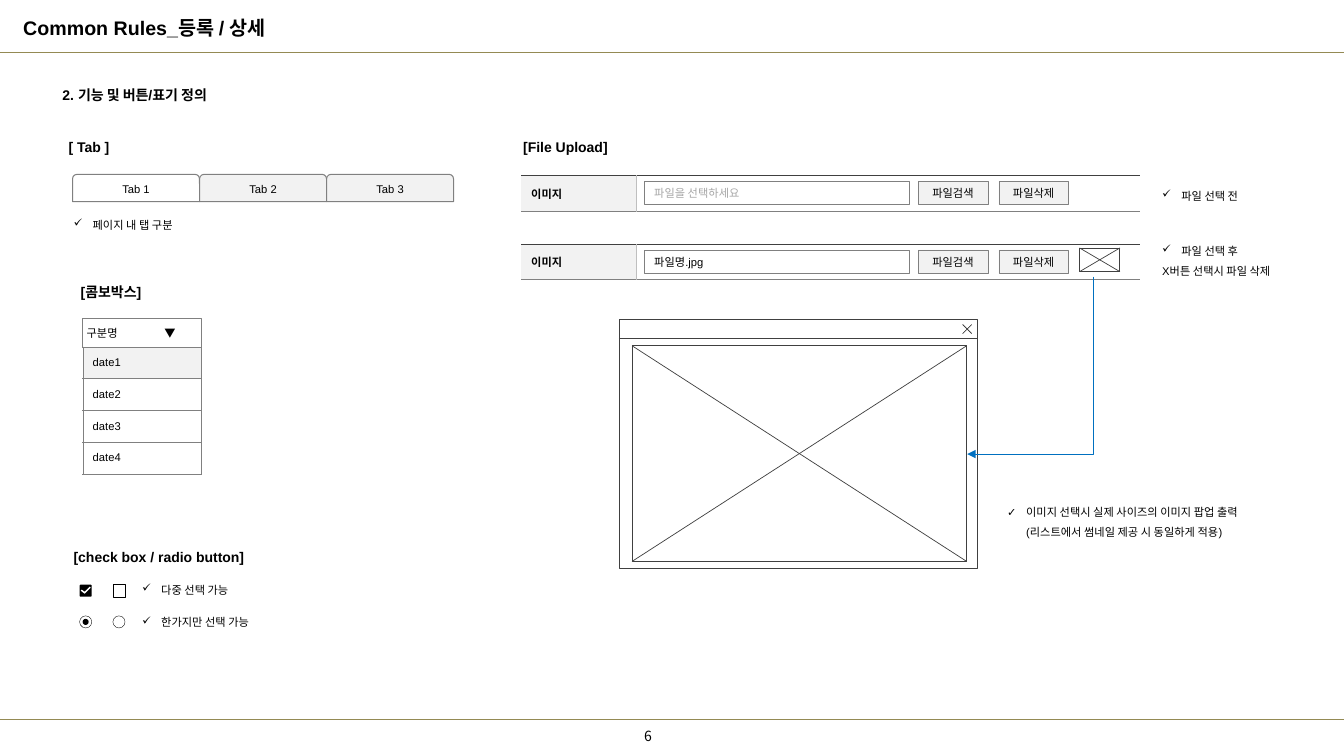
from dataclasses import dataclass
from lxml import etree
from pptx import Presentation
from pptx import util as u
from pptx.dml.color import RGBColor
from pptx.enum import shapes, text
from pptx.oxml import ns


@dataclass(frozen=True)
class Theme:
    latin: str = "Arial"
    korean: str = "Noto Sans CJK KR"
    title: int = 14
    heading: int = 10
    label: int = 8
    ink: str = "000000"
    hint: str = "A6A6A6"
    paper: str = "FFFFFF"
    shade: str = "F2F2F2"
    border: str = "808080"
    divider: str = "BFBFBF"
    frame: str = "404040"
    rule: str = "948A54"
    arrow: str = "0070C0"


theme = Theme()
COLUMNS, ROWS = 133.33, 75
deck = Presentation()
deck.slide_width, deck.slide_height = u.Inches(13.33), u.Inches(7.5)
column, row = deck.slide_width / COLUMNS, deck.slide_height / ROWS
page = deck.slides.add_slide(deck.slide_layouts[1])
Kind = shapes.MSO_SHAPE
Align = text.PP_ALIGN
Anchor = text.MSO_ANCHOR


def write(para, words, size=theme.label, bold=False, color=theme.ink, latin=theme.latin):
    span = para.add_run()
    span.text = words
    span.font.size, span.font.bold, span.font.name = u.Pt(size), bold, latin
    span.font.color.rgb = RGBColor.from_string(color)
    east = etree.SubElement(span.font._element, ns.qn("a:ea"))
    east.set("typeface", theme.korean)


def draw(kind, left, top, width, height, fill=None, line=theme.border, weight=0.25,
         words="", align=Align.CENTER, inset=0, color=theme.ink):
    box = page.shapes.add_shape(kind, round(left * column), round(top * row),
                                round(width * column), round(height * row))
    box.shadow.inherit = False
    if fill:
        box.fill.solid()
        box.fill.fore_color.rgb = RGBColor.from_string(fill)
    else:
        box.fill.background()
    if line:
        box.line.color.rgb = RGBColor.from_string(line)
        box.line.width = u.Pt(weight)
    else:
        box.line.fill.background()
    if words:
        frame = box.text_frame
        frame.vertical_anchor = Anchor.MIDDLE
        frame.margin_left = frame.margin_right = round(inset * column)
        frame.margin_top = frame.margin_bottom = 0
        frame.paragraphs[0].alignment = align
        write(frame.paragraphs[0], words, color=color)
    return box


title = page.shapes.title
title.left, title.top = round(1.3 * column), round(0.1 * row)
title.width, title.height = round(130.7 * column), round(5.2 * row)
title.text_frame.vertical_anchor = Anchor.MIDDLE
title.text_frame.paragraphs[0].alignment = Align.LEFT
write(title.text_frame.paragraphs[0], "Common Rules_등록 / 상세", theme.title, True)

headings = [
    (6.2, 8.1, "2. 기능 및 버튼/표기 정의", True, theme.latin),
    (6.8, 13.3, "[ Tab ]", True, theme.latin),
    (8, 27.6, "[콤보박스]", True, theme.latin),
    (7.3, 53.9, "[check box / radio button]", True, theme.latin),
    (51.9, 13.3, "[File Upload]", True, theme.latin),
    (63.9, 71.7, "6", False, theme.korean),
]
for left, top, words, bold, latin in headings:
    box = page.shapes.add_textbox(round(left * column), round(top * row),
                                  round(24 * column), round(2.7 * row))
    box.text_frame.word_wrap = True
    box.text_frame.margin_left = box.text_frame.margin_right = 0
    write(box.text_frame.paragraphs[0], words, theme.heading, bold, latin=latin)

notes = [
    (7.3, 21.2, 12.6, 2.4, 1, ["✓페이지 내 탭 구분"]),
    (14.1, 57.4, 13.8, 2.4, 1, ["✓다중 선택 가능"]),
    (14.1, 60.6, 13.8, 2.4, 1, ["✓한가지만 선택 가능"]),
    (115.3, 17.6, 16.9, 3.5, 1.5, ["✓파일 선택 전"]),
    (115.3, 23.1, 16.9, 5.2, 1.5, ["✓파일 선택 후", "X버튼 선택시 파일 삭제"]),
    (99.9, 49, 25.8, 5.7, 1.5,
     ["✓이미지 선택시 실제 사이즈의 이미지 팝업 출력 (리스트에서 썸네일 제공 시 동일하게 적용)"]),
]
for left, top, width, height, spacing, lines in notes:
    if lines is notes[-1][-1]:
        box = page.placeholders[1]
    else:
        box = page.shapes.add_textbox(0, 0, 0, 0)
    box.left, box.top = round(left * column), round(top * row)
    box.width, box.height = round(width * column), round(height * row)
    frame = box.text_frame
    frame.word_wrap, frame.auto_size = True, text.MSO_AUTO_SIZE.NONE
    frame.margin_left = frame.margin_right = 0
    for number, words in enumerate(lines):
        para = frame.add_paragraph() if number else frame.paragraphs[0]
        para.line_spacing, para.space_before = spacing, u.Pt(0)
        if words.startswith("✓"):
            settings = para._p.get_or_add_pPr()
            settings.set("marL", str(round(1.9 * column)))
            settings.set("indent", str(round(-1.9 * column)))
            etree.SubElement(settings, ns.qn("a:buChar")).set("char", "✓")
        write(para, words.removeprefix("✓"))

for number in range(3):
    draw(Kind.ROUND_2_SAME_RECTANGLE, 7.2 + 12.6 * number, 17.3, 12.6, 2.7,
         theme.shade if number else theme.paper, weight=0.75, words=f"Tab {number + 1}")

combo = draw(Kind.RECTANGLE, 8.2, 31.6, 11.8, 2.8, words="구분명\t▼", align=Align.LEFT, inset=0.4)
stops = etree.SubElement(combo.text_frame.paragraphs[0]._p.get_or_add_pPr(), ns.qn("a:tabLst"))
stop = etree.SubElement(stops, ns.qn("a:tab"))
stop.set("pos", str(round(7.7 * column)))
stop.set("algn", "l")

edge = (theme.border, 0.25)
top_edge, low_edge, split = (theme.frame, 0.5), (theme.border, 0.75), (theme.divider, 0.25)
option_edges = dict(L=edge, R=edge, T=edge, B=edge)
upload_cells = [
    ("이미지", theme.shade, dict(L=None, R=split, T=top_edge, B=low_edge)),
    ("", None, dict(L=split, R=None, T=top_edge, B=low_edge)),
]
options = [[(f"date{n}", theme.paper if n > 1 else theme.shade, option_edges)] for n in range(1, 5)]
tables = [
    (8.2, 34.4, [11.8], 3.15, options),
    (51.7, 17.4, [11.4, 50], 3.55, [upload_cells]),
    (51.7, 24.2, [11.4, 50], 3.55, [upload_cells]),
]
for left, top, widths, height, grid in tables:
    table = page.shapes.add_table(len(grid), len(widths), round(left * column), round(top * row),
                                  round(sum(widths) * column), round(height * len(grid) * row)).table
    table.first_row = table.horz_banding = False
    for number, width in enumerate(widths):
        table.columns[number].width = round(width * column)
    for y, cells in enumerate(grid):
        table.rows[y].height = round(height * row)
        for x, (words, fill, edges) in enumerate(cells):
            cell = table.cell(y, x)
            cell.vertical_anchor = Anchor.MIDDLE
            for side, stroke in edges.items():
                line = etree.SubElement(cell._tc.get_or_add_tcPr(), ns.qn(f"a:ln{side}"))
                if stroke:
                    line.set("w", str(u.Pt(stroke[1])))
                    paint = etree.SubElement(line, ns.qn("a:solidFill"))
                    etree.SubElement(paint, ns.qn("a:srgbClr")).set("val", stroke[0])
                else:
                    etree.SubElement(line, ns.qn("a:noFill"))
            if fill:
                cell.fill.solid()
                cell.fill.fore_color.rgb = RGBColor.from_string(fill)
            else:
                cell.fill.background()
            para = cell.text_frame.paragraphs[0]
            if words:
                write(para, words, bold=len(widths) > 1)
            else:
                etree.SubElement(para._p, ns.qn("a:endParaRPr")).set("sz", str(theme.label * 100))

for top, words, color in [(18, "파일을 선택하세요", theme.hint), (24.8, "파일명.jpg", theme.ink)]:
    draw(Kind.RECTANGLE, 63.9, top, 26.3, 2.3, words=words, align=Align.LEFT, inset=1, color=color)
    for left, label in [(91.1, "파일검색"), (99.1, "파일삭제")]:
        draw(Kind.RECTANGLE, left, top, 6.9, 2.3, theme.shade, words=label)

draw(Kind.ROUNDED_RECTANGLE, 7.9, 58, 1.2, 1.2, theme.ink, None).adjustments[0] = 0.1
tick = [(8.4, 58.9), (8, 58.6), (8.1, 58.5), (8.4, 58.7), (8.9, 58.2), (9, 58.3)]
points = [(round(x * column), round(y * row)) for x, y in tick]
builder = page.shapes.build_freeform(*points[0])
builder.add_line_segments(points[1:], close=True)
check = builder.convert_to_shape()
check.shadow.inherit = False
check.fill.solid()
check.fill.fore_color.rgb = RGBColor.from_string(theme.paper)
check.line.fill.background()
draw(Kind.RECTANGLE, 11.2, 58, 1.2, 1.2, line=theme.ink)
for left in (7.9, 11.2):
    draw(Kind.OVAL, left, 61.1, 1.2, 1.2, line=theme.ink)
draw(Kind.OVAL, 8.2, 61.4, 0.6, 0.6, theme.ink, None)

draw(Kind.RECTANGLE, 61.4, 31.7, 35.5, 24.7, theme.paper, theme.frame)
draw(Kind.MATH_MULTIPLY, 95.1, 31.8, 1.7, 1.7, theme.ink, theme.frame).adjustments[0] = 0.015
rules = [
    (0, 5.2, COLUMNS, 5.2, theme.rule, 1),
    (0, 71.4, COLUMNS, 71.4, theme.rule, 1),
    (61.4, 33.6, 96.9, 33.6, theme.frame, 0.25),
]
for left, top, width, height in [(62.7, 34.3, 33.2, 21.4), (107.1, 24.6, 4, 2.35)]:
    draw(Kind.RECTANGLE, left, top, width, height, theme.paper, theme.frame, 0.5)
    right, bottom = left + width, top + height
    rules += [(left, top, right, bottom, theme.frame, 0.5), (left, bottom, right, top, theme.frame, 0.5)]
rules.append((93.4, 30, 111, 42.5, theme.arrow, 0.75))
for left, top, right, bottom, color, weight in rules:
    bent = color == theme.arrow
    style = shapes.MSO_CONNECTOR.ELBOW if bent else shapes.MSO_CONNECTOR.STRAIGHT
    link = page.shapes.add_connector(style, round(left * column), round(top * row),
                                     round(right * column), round(bottom * row))
    link.line.color.rgb = RGBColor.from_string(color)
    link.line.width = u.Pt(weight)
    shape = link._element.spPr
    if bent:
        shape.find(ns.qn("a:xfrm")).set("rot", "5400000")
        shape.find(ns.qn("a:prstGeom")).set("prst", "bentConnector2")
        etree.SubElement(shape.find(ns.qn("a:ln")), ns.qn("a:tailEnd")).set("type", "triangle")
    etree.SubElement(shape, ns.qn("a:effectLst"))

deck.save("out.pptx")
